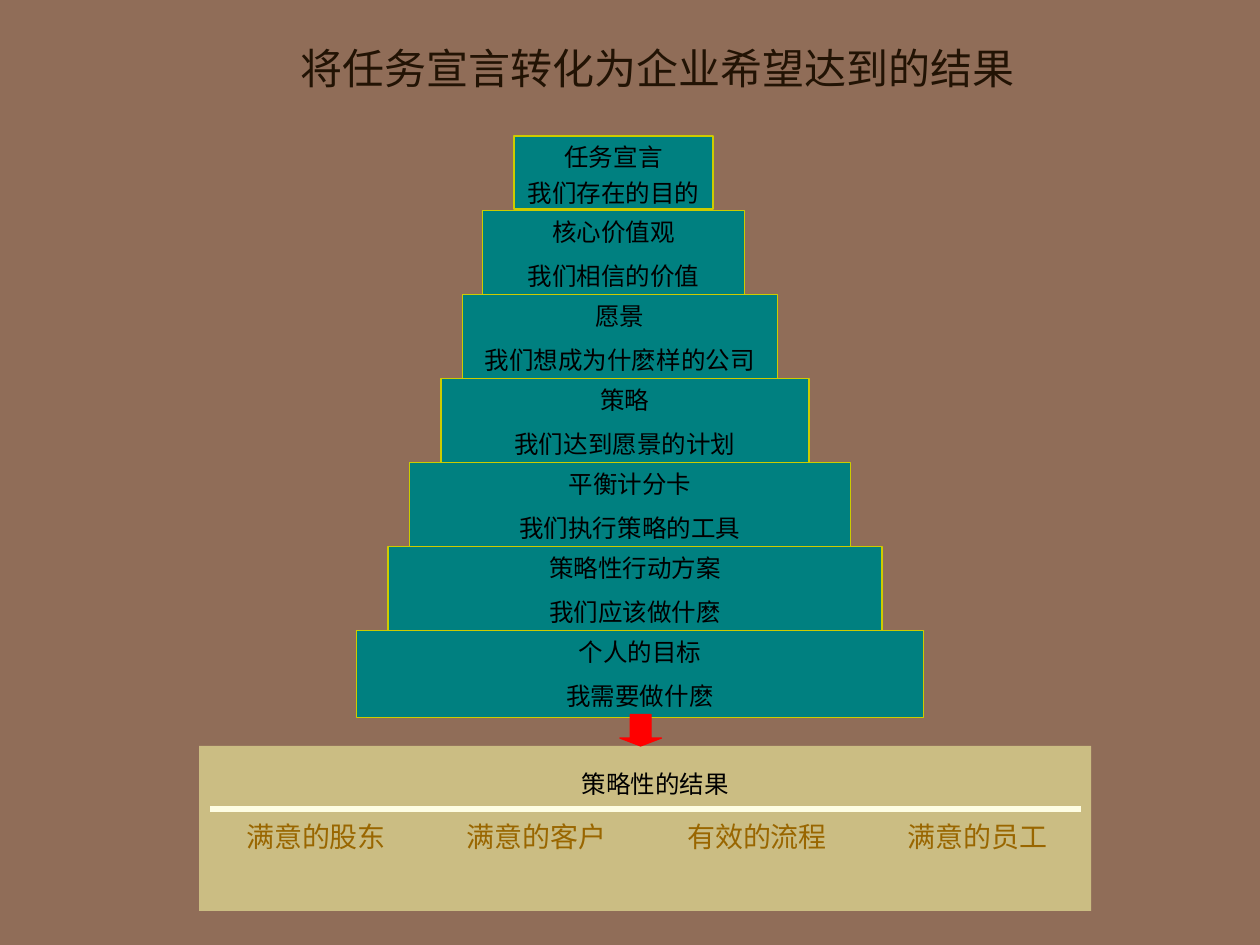
from lxml.etree import SubElement
from pptx import Presentation
from pptx.dml.color import RGBColor
from pptx.enum.shapes import MSO_CONNECTOR as CONN, MSO_SHAPE as SHAPE
from pptx.enum.text import MSO_ANCHOR as ANCHOR, MSO_AUTO_SIZE as FIT, PP_ALIGN as ALIGN
from pptx.oxml.ns import qn
from pptx.util import Inches, Pt

TITLE = "将任务宣言转化为企业希望达到的结果"
MISSION = ("任务宣言", "我们存在的目的")
# left, width, name, meaning
STEPS = [
    (3.83, 2.08, "核心价值观", "我们相信的价值"),
    (3.67, 2.5, "愿景", "我们想成为什麽样的公司"),
    (3.5, 2.92, "策略", "我们达到愿景的计划"),
    (3.25, 3.5, "平衡计分卡", "我们执行策略的工具"),
    (3.08, 3.92, "策略性行动方案", "我们应该做什麽"),
    (2.83, 4.5, "个人的目标", "我需要做什麽"),
]
STEP_TOP, STEP_PITCH, STEP_HEIGHT = 1.67, 2 / 3, 0.69
RESULTS_HEADING = "策略性的结果"
RESULTS = ["满意的股东", "满意的客户", "有效的流程", "满意的员工"]
RESULT_FIRST, RESULT_PITCH = 0.83, 1.75
TEAL, OLIVE, RED = "008080", "CCCC00", "FF0000"


def rgb(value):
    return RGBColor.from_string(value)


def place(sp, left, top, width, height):
    box = dict(left=left, top=top, width=width, height=height)
    for name, value in box.items():
        setattr(sp, name, Inches(value))


def paint(sp, fill, line=None):
    sp.fill.solid()
    sp.fill.fore_color.rgb = rgb(fill)
    if line:
        sp.line.color.rgb = rgb(line)
        sp.line.width = Pt(0.75)
    else:
        sp.line.fill.background()


def add_box(slide, kind, box, fill, line=None):
    sp = slide.shapes.add_shape(kind, *map(Inches, box))
    sp.shadow.inherit = False
    paint(sp, fill, line)
    return sp


def set_frame(sp, anchor=ANCHOR.TOP, inset=0.05):
    frame = dict(word_wrap=True, auto_size=FIT.NONE, vertical_anchor=anchor,
                 margin_left=Inches(0.1), margin_right=Inches(0.1),
                 margin_top=Inches(inset), margin_bottom=Inches(0.05))
    for name, value in frame.items():
        setattr(sp.text_frame, name, value)
    return sp.text_frame


def write(p, text, size, color="000000", align=ALIGN.CENTER, before=0):
    for name, value in dict(alignment=align, space_before=Pt(before)).items():
        setattr(p, name, value)
    r = p.add_run()
    r.text = text
    for name, value in dict(name="Times New Roman", size=Pt(size), bold=False).items():
        setattr(r.font, name, value)
    r.font.color.rgb = rgb(color)


def write_step(sp, name, meaning, gap):
    tf = set_frame(sp)
    write(tf.paragraphs[0], name, 14)
    write(tf.add_paragraph(), meaning, 14, before=gap)


def add_center_tabs(p, positions):
    tabs = SubElement(p._p.get_or_add_pPr(), qn("a:tabLst"))
    for position in positions:
        SubElement(tabs, qn("a:tab"), pos=str(Inches(position)), algn="ctr")


def add_results(slide):
    panel = add_box(slide, SHAPE.RECTANGLE, (1.58, 5.92, 7.08, 1.31), "CBBD83")
    tf = set_frame(panel, inset=0.18)
    heading = tf.paragraphs[0]
    heading._p.get_or_add_pPr().set("marL", str(Inches(0.16)))
    write(heading, RESULTS_HEADING, 14)
    p = tf.add_paragraph()
    add_center_tabs(p, [RESULT_FIRST + i * RESULT_PITCH for i in range(len(RESULTS))])
    write(p, "".join("\t" + result for result in RESULTS), 16, "996600",
          ALIGN.LEFT, before=12.5)


def add_rule(slide, left, right, y, color, width):
    line = slide.shapes.add_connector(
        CONN.STRAIGHT, Inches(left), Inches(y), Inches(right), Inches(y))
    line.line.color.rgb = rgb(color)
    line.line.width = Pt(width)
    SubElement(line._element.spPr, qn("a:effectLst"))


def main():
    prs = Presentation()
    prs.slide_width, prs.slide_height = Inches(10), Inches(7.5)
    slide = prs.slides.add_slide(prs.slide_layouts[0])
    slide.background.fill.solid()
    slide.background.fill.fore_color.rgb = rgb("906D58")

    title, mission = slide.placeholders
    place(title, 1, 0.25, 8.44, 0.58)
    write(set_frame(title, ANCHOR.MIDDLE).paragraphs[0], TITLE, 24, "221304")

    place(mission, 4.08, 1.08, 1.58, 0.58)
    paint(mission, TEAL, OLIVE)
    write_step(mission, *MISSION, gap=3.5)

    for i, (left, width, name, meaning) in enumerate(STEPS):
        box = (left, STEP_TOP + i * STEP_PITCH, width, STEP_HEIGHT)
        step = add_box(slide, SHAPE.RECTANGLE, box, TEAL, OLIVE)
        write_step(step, name, meaning, gap=8.8)

    add_results(slide)
    add_rule(slide, 1.67, 8.58, 6.42, "FEFDE3", 3)
    arrow = add_box(slide, SHAPE.DOWN_ARROW, (4.92, 5.67, 0.33, 0.25), RED, RED)
    arrow.adjustments[0], arrow.adjustments[1] = 0.5, 0.25
    prs.save("out.pptx")


if __name__ == "__main__":
    main()
